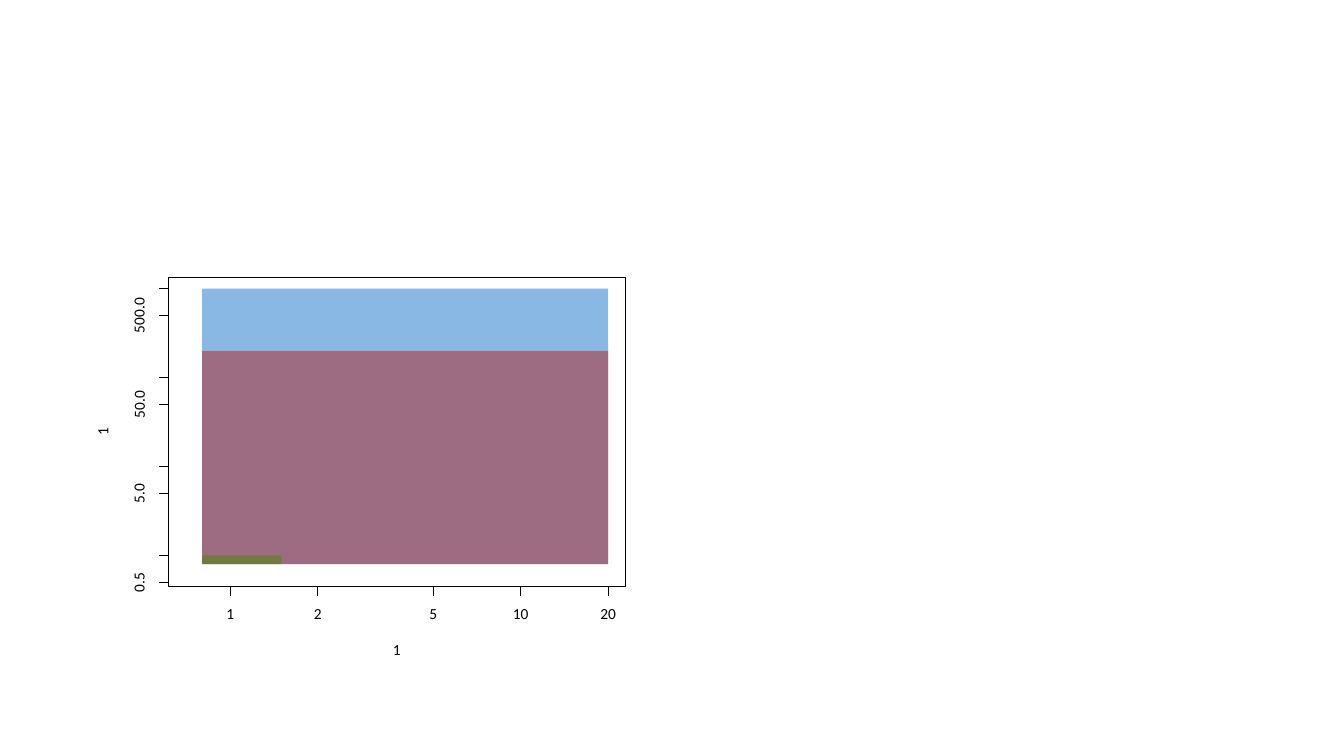
from math import log10

from lxml.etree import SubElement
from pptx import Presentation
from pptx.dml.color import RGBColor
from pptx.enum.shapes import MSO_CONNECTOR as CONNECTOR, MSO_SHAPE as SHAPE
from pptx.enum.text import MSO_ANCHOR as ANCHOR, PP_ALIGN as ALIGN
from pptx.oxml.ns import qn
from pptx.util import Inches, Pt

BLACK = RGBColor(0x00, 0x00, 0x00)
BLUE = RGBColor(0x17, 0x73, 0xCC)
RED = RGBColor(0xB3, 0x21, 0x21)
GREEN = RGBColor(0x45, 0x8A, 0x00)

PLOT_BOX = (1.67, 2.75, 4.53, 3.07)
X_LIMITS, Y_LIMITS = (0.7, 20), (0.6, 1000)
PADDING = 0.04  # share of the data range left free at both ends
X_TICKS = {1: "1", 2: "2", 5: "5", 10: "10", 20: "20"}
Y_TICKS = {0.5: "0.5", 1: "", 5: "5.0", 10: "", 50: "50.0",
           100: "", 500: "500.0", 1000: ""}
AREA_START = (0.8, 0.8)
AREAS = [((20, 1000), BLUE), ((20, 200), RED), ((1.5, 1), GREEN)]
TICK, LABEL_GAP, TITLE_GAP = 0.09, 0.28, 0.64


def log_scale(start, length, limits):
    """Return a function that places a value on a padded log axis."""
    low, high = map(log10, limits)
    unit = length / (high - low) / (1 + 2 * PADDING)
    origin = start + PADDING * length / (1 + 2 * PADDING)
    return lambda value: origin + (log10(value) - low) * unit


def add_line(shapes, x1, y1, x2, y2):
    """Draw a thin black line without shadow."""
    line = shapes.add_connector(
        CONNECTOR.STRAIGHT, Inches(x1), Inches(y1), Inches(x2), Inches(y2))
    line.line.color.rgb = BLACK
    line.line.width = Pt(0.75)
    SubElement(line._element.spPr, qn("a:effectLst"))


def add_label(shapes, text, x, y, rotation=0):
    """Write a label centred on a point."""
    width, height = 0.08 * len(text) - 0.04 * text.count("."), 0.1
    box = shapes.add_textbox(Inches(x - width / 2), Inches(y - height / 2),
                             Inches(width), Inches(height))
    box.rotation = rotation
    frame = box.text_frame
    frame.word_wrap = False
    frame.vertical_anchor = ANCHOR.MIDDLE
    frame.margin_left = frame.margin_right = 0
    frame.margin_top = frame.margin_bottom = 0
    paragraph = frame.paragraphs[0]
    paragraph.text = text
    paragraph.alignment = ALIGN.CENTER
    paragraph.line_spacing = Pt(11)
    paragraph.font.name = "Calibri"
    paragraph.font.size = Pt(11)
    paragraph.font.color.rgb = BLACK


def add_rectangle(shapes, left, top, width, height):
    """Add a rectangle without fill, line or shadow."""
    shape = shapes.add_shape(SHAPE.RECTANGLE, Inches(left), Inches(top),
                             Inches(width), Inches(height))
    shape.shadow.inherit = False
    shape.fill.background()
    shape.line.fill.background()
    return shape


def add_x_axis(shapes, scale, bottom):
    """Draw the horizontal axis with ticks and labels."""
    add_line(shapes, scale(min(X_TICKS)), bottom, scale(max(X_TICKS)), bottom)
    for value, text in X_TICKS.items():
        x = scale(value)
        add_line(shapes, x, bottom, x, bottom + TICK)
        add_label(shapes, text, x, bottom + LABEL_GAP)


def add_y_axis(shapes, scale, left):
    """Draw the vertical axis with ticks and turned labels."""
    add_line(shapes, left, scale(min(Y_TICKS)), left, scale(max(Y_TICKS)))
    for value, text in Y_TICKS.items():
        y = scale(value)
        add_line(shapes, left, y, left - TICK, y)
        if text:
            add_label(shapes, text, left - LABEL_GAP, y, 270)


def add_areas(shapes, x_scale, y_scale):
    """Draw the half-transparent areas, which share one lower left corner."""
    left, bottom = x_scale(AREA_START[0]), y_scale(AREA_START[1])
    for (x_end, y_end), color in AREAS:
        top = y_scale(y_end)
        area = add_rectangle(shapes, left, top, x_scale(x_end) - left, bottom - top)
        area.fill.solid()
        area.fill.fore_color.rgb = color
        color_element = area._element.spPr.find(qn("a:solidFill"))[0]
        SubElement(color_element, qn("a:alpha"), val="50000")


def add_plot(slide, left, top, width, height):
    """Build the log-log plot around the given frame."""
    plot = slide.shapes.add_group_shape().shapes
    bottom = top + height
    x_scale = log_scale(left, width, X_LIMITS)
    y_scale = log_scale(bottom, -height, Y_LIMITS)
    add_x_axis(plot, x_scale, bottom)
    add_y_axis(plot, y_scale, left)
    frame = add_rectangle(plot, left, top, width, height)
    frame.line.color.rgb = BLACK
    frame.line.width = Pt(0.75)
    add_label(plot, "1", left + width / 2, bottom + TITLE_GAP)
    add_label(plot, "1", left - TITLE_GAP, top + height / 2, 270)
    add_areas(plot, x_scale, y_scale)


presentation = Presentation()
presentation.slide_width = Inches(13.33)
presentation.slide_height = Inches(7.5)
blank_layout = presentation.slide_layouts[6]
add_plot(presentation.slides.add_slide(blank_layout), *PLOT_BOX)
presentation.save("out.pptx")
